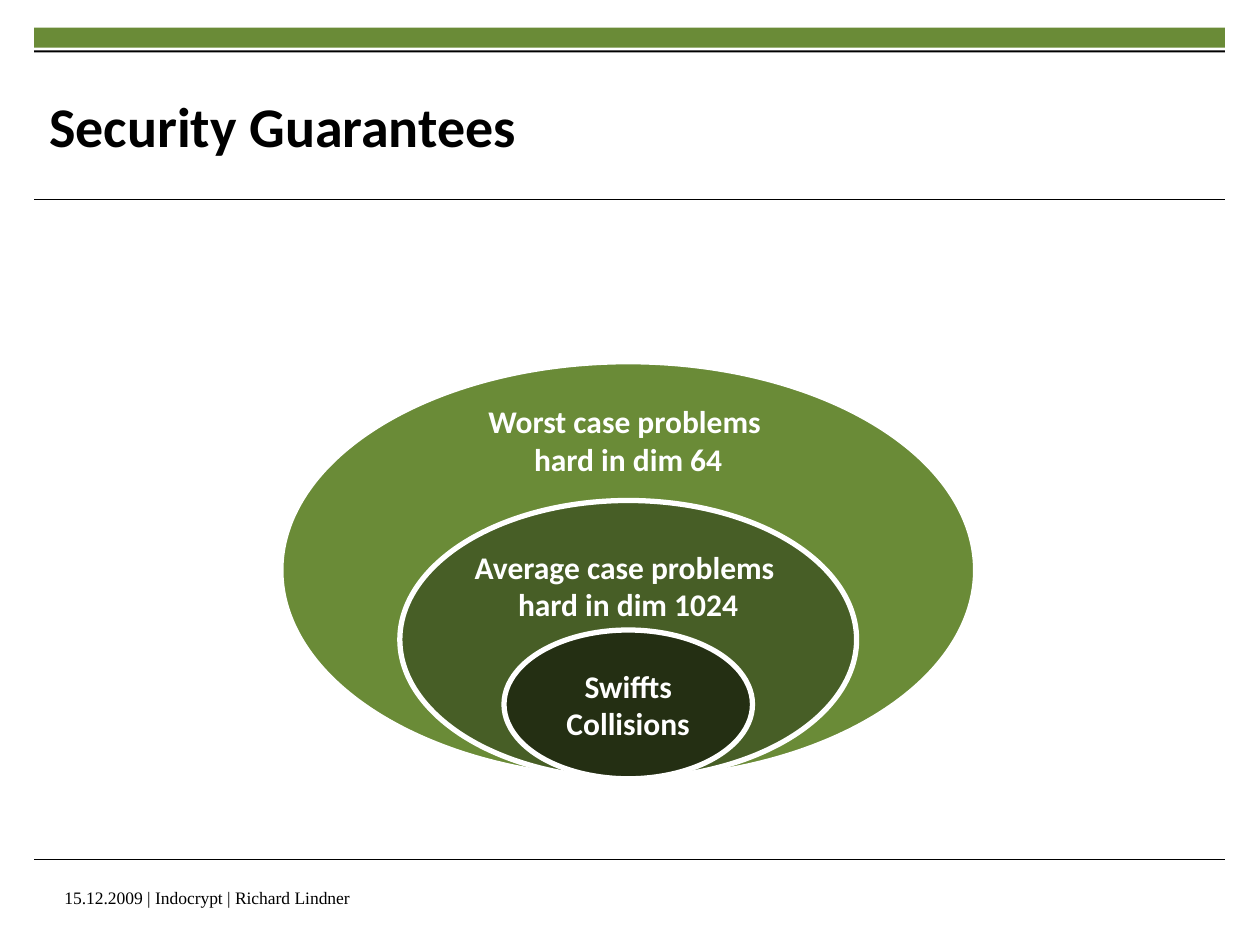
"""Builds the Security Guarantees slide with its nested ellipses."""
from pptx import Presentation
from pptx.dml.color import RGBColor
from pptx.enum.shapes import MSO_CONNECTOR, MSO_SHAPE
from pptx.enum.text import MSO_ANCHOR, PP_ALIGN
from pptx.oxml.ns import qn
from pptx.util import Pt
from lxml.etree import SubElement

TITLE = "Security Guarantees"
FOOTER = "15.12.2009 | Indocrypt | Richard Lindner"
BARS = [(15.8, 11.5, "6A8B37"), (28.8, 1.2, "000000")]
RULES = [114.2, 491.4]
RINGS = [
    ("Worst case problems \nhard in dim 64", 397, 238.3, "6A8B37", 149),
    ("Average case problems \nhard in dim 1024", 261, 159, "475E26", 62),
    ("Swiffts\nCollisions", 142, 85, "242F13", 0),
]
LEFT, WIDTH = 19.5, 680.5
MID, BASE, PAD = 359, 445, 3.6


def color(code):
    return RGBColor.from_string(code)


def style(frame, face, size, code, bold, align):
    for para in frame.paragraphs:
        para.alignment = align
        for run in para.runs:
            font = run.font
            font.name, font.size, font.bold = face, Pt(size), bold
            font.color.rgb = color(code)


def pad(frame, left, top, right, bottom):
    frame.margin_left, frame.margin_top = Pt(left), Pt(top)
    frame.margin_right, frame.margin_bottom = Pt(right), Pt(bottom)


def place(shape, x, y, w, h):
    shape.left, shape.top, shape.width, shape.height = Pt(x), Pt(y), Pt(w), Pt(h)


def draw(slide, kind, x, y, w, h, fill):
    shape = slide.shapes.add_shape(kind, Pt(x), Pt(y), Pt(w), Pt(h))
    shape.shadow.inherit = False
    shape.fill.solid()
    shape.fill.fore_color.rgb = color(fill)
    shape.line.fill.background()
    return shape


def rule(slide, y):
    line = slide.shapes.add_connector(
        MSO_CONNECTOR.STRAIGHT, Pt(LEFT), Pt(y), Pt(LEFT + WIDTH), Pt(y))
    line.line.width = Pt(0.6)
    line.line.color.rgb = color("000000")
    SubElement(line._element.spPr, qn("a:effectLst"))


def ring(slide, text, w, h, fill, lift):
    shape = draw(slide, MSO_SHAPE.OVAL, MID - w / 2, BASE - h, w, h, fill)
    shape.line.width = Pt(3)
    shape.line.color.rgb = color("FFFFFF")
    frame = shape.text_frame
    frame.text = text
    frame.word_wrap = False
    frame.vertical_anchor = MSO_ANCHOR.MIDDLE
    pad(frame, 7.2, PAD, 7.2, PAD + lift)
    style(frame, "Calibri", 18, "FFFFFF", True, PP_ALIGN.CENTER)


def main():
    deck = Presentation()
    deck.slide_width, deck.slide_height = Pt(720), Pt(540)
    slide = deck.slides.add_slide(deck.slide_layouts[5])
    for y, h, fill in BARS:
        draw(slide, MSO_SHAPE.RECTANGLE, LEFT, y, WIDTH, h, fill)
    for y in RULES:
        rule(slide, y)
    for item in RINGS:
        ring(slide, *item)

    title = slide.shapes.title
    place(title, 28.1, 38.2, 541.5, 66.2)
    frame = title.text_frame
    frame.text = TITLE
    frame.vertical_anchor = MSO_ANCHOR.MIDDLE
    pad(frame, 0, 0, 0, 0)
    style(frame, "Calibri", 32, "000000", True, PP_ALIGN.LEFT)

    foot = slide.shapes.add_textbox(Pt(LEFT), Pt(507), Pt(WIDTH), Pt(18))
    frame = foot.text_frame
    frame.text = FOOTER
    frame.word_wrap = True
    pad(frame, 17.3, 0, 0, 0)
    style(frame, "Times New Roman", 10, "000000", False, PP_ALIGN.LEFT)
    deck.save("out.pptx")


if __name__ == "__main__":
    main()
